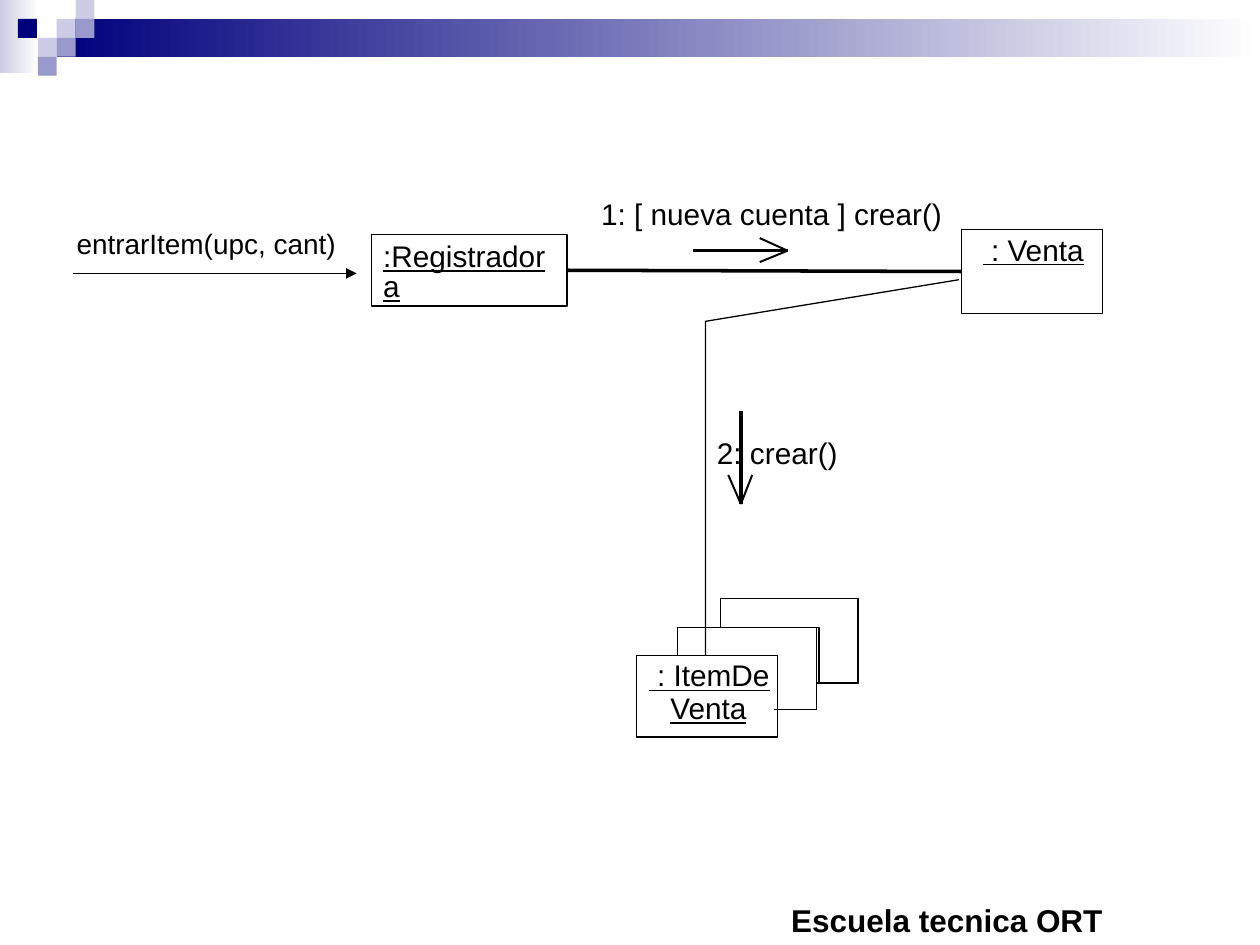
from lxml import etree
from pptx import Presentation
from pptx import util as u
from pptx.dml.color import RGBColor
from pptx.enum import shapes, text
from pptx.oxml.ns import qn

BLACK = RGBColor(0x00, 0x00, 0x00)
WHITE = RGBColor(0xFF, 0xFF, 0xFF)
NAVY = RGBColor(0x00, 0x00, 0x7D)
LILAC = RGBColor(0x99, 0x99, 0xCC)
PALE = RGBColor(0xCC, 0xCC, 0xE6)

COLS, ROWS = 100, 75
HAIR, THIN, BOLD = 0, 0.75, 1.13


class Board:
    font = "Arial"
    ink = BLACK

    def __init__(self, deck):
        self.slide = deck.slides.add_slide(deck.slide_layouts[6])
        self.shapes = self.slide.shapes
        self.col = deck.slide_width / COLS
        self.row = deck.slide_height / ROWS

    def spot(self, x, y):
        return u.Emu(round(x * self.col)), u.Emu(round(y * self.row))

    def area(self, x, y, w, h):
        return *self.spot(x, y), *self.spot(w, h)

    def pen(self, line, width):
        line.color.rgb = self.ink
        line.width = u.Pt(width)

    def rect(self, *area):
        shape = self.shapes.add_shape(shapes.MSO_SHAPE.RECTANGLE, *self.area(*area))
        shape.shadow.inherit = False
        return shape

    def tile(self, area, color):
        shape = self.rect(*area)
        shape.fill.solid()
        shape.fill.fore_color.rgb = color
        shape.line.fill.background()

    def fade(self, area, color):
        shape = self.rect(*area)
        shape.fill.gradient()
        shape.fill.gradient_angle = 0
        for stop, tone in zip(shape.fill.gradient_stops, (color, WHITE)):
            stop.color.rgb = tone
        shape.line.fill.background()

    def box(self, *area):
        shape = self.rect(*area)
        shape.fill.background()
        self.pen(shape.line, HAIR)
        return shape

    def line(self, start, end, width=HAIR, head=False):
        link = self.shapes.add_connector(
            shapes.MSO_CONNECTOR.STRAIGHT, *self.spot(*start), *self.spot(*end))
        self.pen(link.line, width)
        props = link._element.spPr
        if head:
            etree.SubElement(props.find(qn("a:ln")), qn("a:tailEnd"), type="triangle")
        etree.SubElement(props, qn("a:effectLst"))
        return link

    def arrow(self, start, barbs, tip):
        self.line(start, tip)
        for barb in barbs:
            self.line(tip, barb, BOLD)

    def trace(self, points, width=HAIR, close=False):
        first, *rest = [self.spot(*point) for point in points]
        pen = self.shapes.build_freeform(*first, scale=1.0)
        pen.add_line_segments(rest, close=close)
        shape = pen.convert_to_shape()
        shape.shadow.inherit = False
        shape.fill.background()
        self.pen(shape.line, width)

    def label(self, area, words, size=17, under=None, bold=None, pad=False,
              wrap=False, space=0.85, anchor=text.MSO_ANCHOR.TOP):
        frame = self.shapes.add_textbox(*self.area(*area)).text_frame
        frame.word_wrap = wrap
        frame.auto_size = text.MSO_AUTO_SIZE.SHAPE_TO_FIT_TEXT
        frame.vertical_anchor = anchor
        if not pad:
            frame.margin_left = frame.margin_right = 0
            frame.margin_top = frame.margin_bottom = 0
        para = frame.paragraphs[0]
        para.line_spacing = space
        run = para.add_run()
        run.text = words
        run.font.name = self.font
        run.font.size = u.Pt(size)
        run.font.color.rgb = self.ink
        run.font.underline = under
        run.font.bold = bold


def banner(board):
    board.fade((0, 0, 3.1, 5.8), PALE)
    board.fade((4.5, 1.5, 95.5, 3), NAVY)
    side = 1.5
    tiles = [(3, 1, PALE), (4, 0, PALE), (4, 1, LILAC), (2, 2, PALE),
             (0.95, 1, NAVY), (3, 2, LILAC), (2, 3, LILAC)]
    for col, row, color in tiles:
        board.tile((col * side, row * side, side, side), color)
    board.label((61.8, 71, 34.5, 4), "Escuela tecnica ORT", 18, bold=True, pad=True,
                wrap=True, space=1, anchor=text.MSO_ANCHOR.MIDDLE)


def sales(board):
    till = board.box(29.5, 18.6, 15.5, 5.7)
    board.label((30.4, 19.3, 14.2, 2.4), ":Registradora", under=True)
    sale = board.box(76.3, 18.2, 11.2, 6.7)
    board.label((78, 18.8, 8.2, 2.4), " : Venta", under=True)
    link = board.line((45, 21.6), (76.1, 21.6))
    link.begin_connect(till, 3)
    link.end_connect(sale, 1)
    board.arrow((55, 19.9), [(60.3, 20.8), (60.3, 18.9)], (62.5, 19.9))
    board.label((47.7, 16, 27.1, 2.4), "1: [ nueva cuenta ] crear()")


def items(board):
    board.box(50.5, 52, 11.2, 6.5)
    board.label((51.5, 52.6, 9.6, 2.4), " : ItemDe", under=True)
    board.label((53.2, 55.2, 6.2, 2.4), "Venta", under=True)
    sheets = [(53.8, 49.8, 64.8, 56.3, 61.7, 52, 61.4),
              (57.2, 47.5, 68.1, 54.2, 65, 49.8, 64.8)]
    for left, top, right, foot, inner, base, end in sheets:
        edge = [(left, base), (left, top), (right, top), (right, foot)]
        board.trace(edge + [(inner, foot), (inner, base)], THIN, close=True)
        board.trace(edge + [(end, foot)])
    board.trace([(76.1, 22.2), (56, 25.5), (56, 52)])
    board.arrow((58.8, 32.6), [(59.7, 37.7), (57.8, 37.7)], (58.8, 40))
    board.label((56.9, 34.9, 9.6, 2.4), "2: crear()")


def entry(board):
    board.line((5.8, 21.7), (28.3, 21.7), THIN, head=True)
    board.label((5.1, 17.5, 22.6, 3.7), "entrarItem(upc, cant)", 16, pad=True, space=1)


def main():
    deck = Presentation()
    deck.slide_width, deck.slide_height = u.Inches(10), u.Inches(7.5)
    board = Board(deck)
    for part in (banner, sales, items, entry):
        part(board)
    deck.save("out.pptx")


if __name__ == "__main__":
    main()
